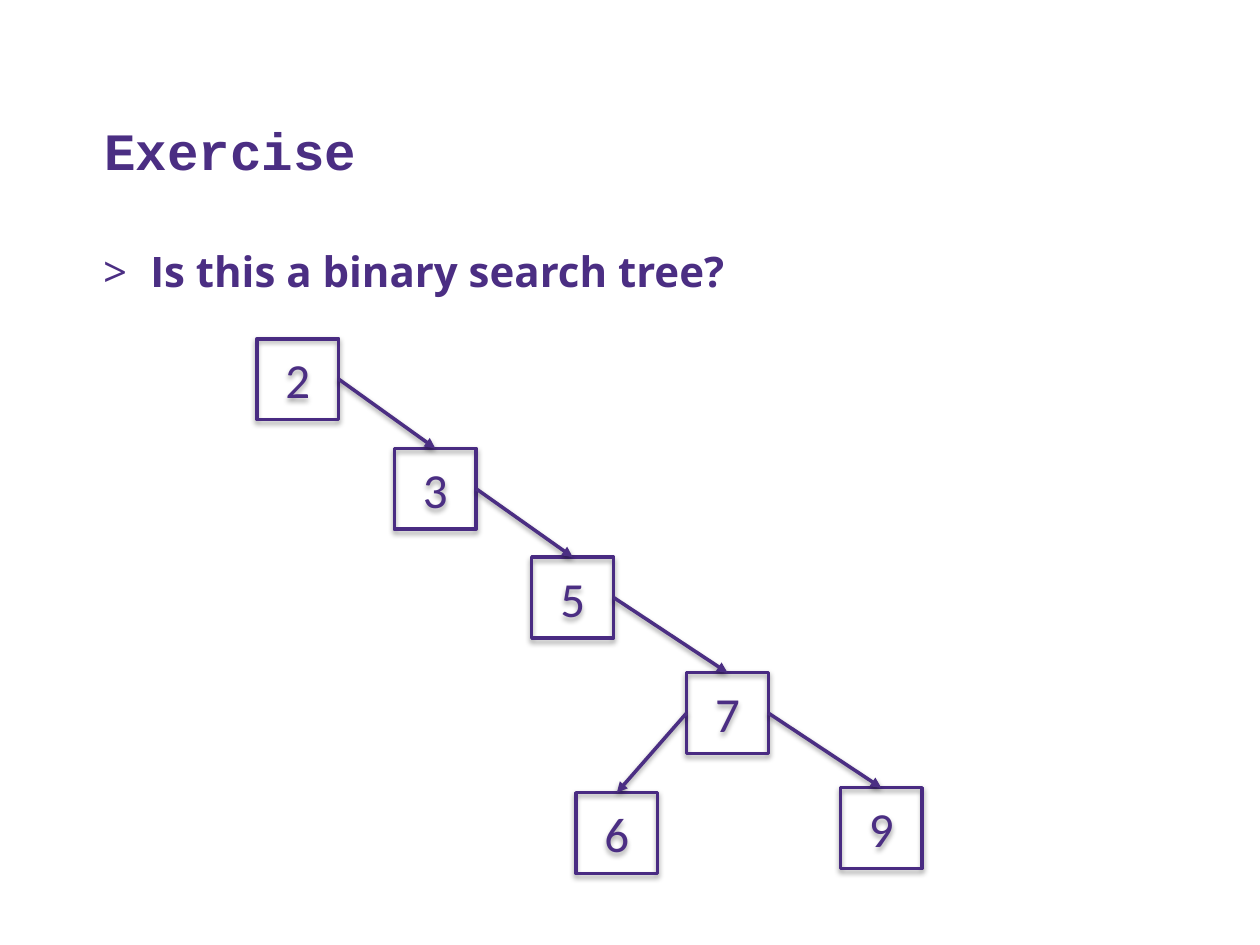
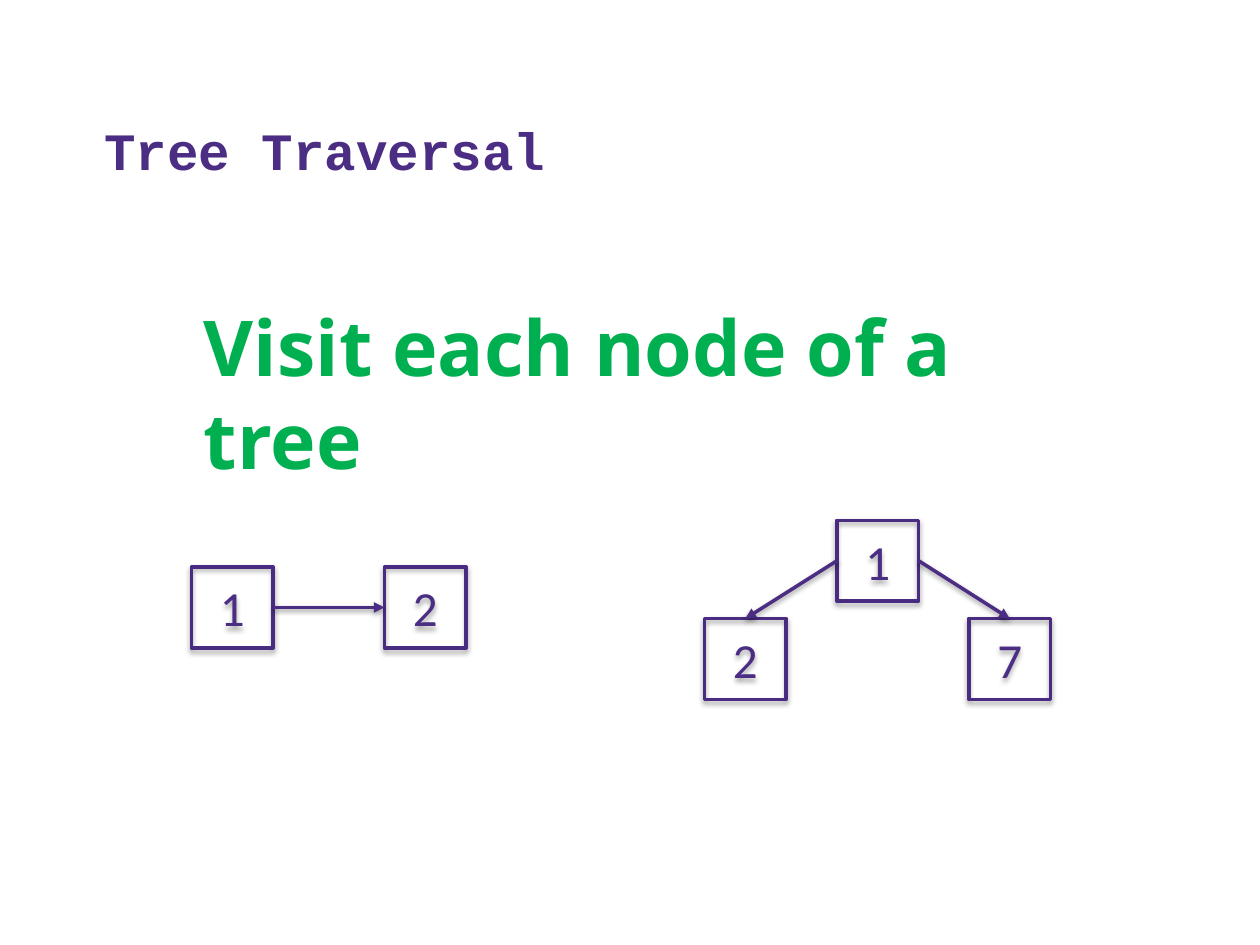
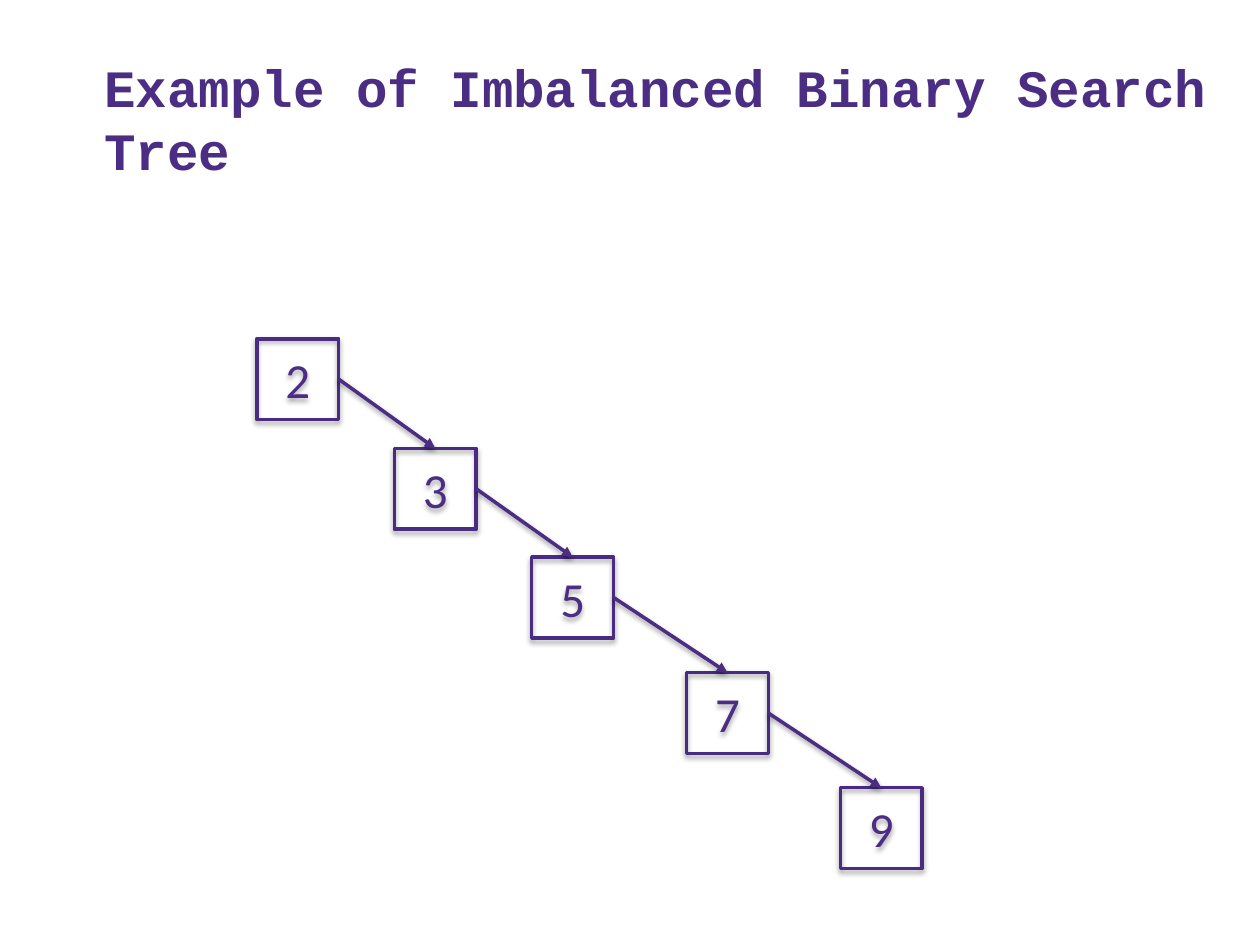
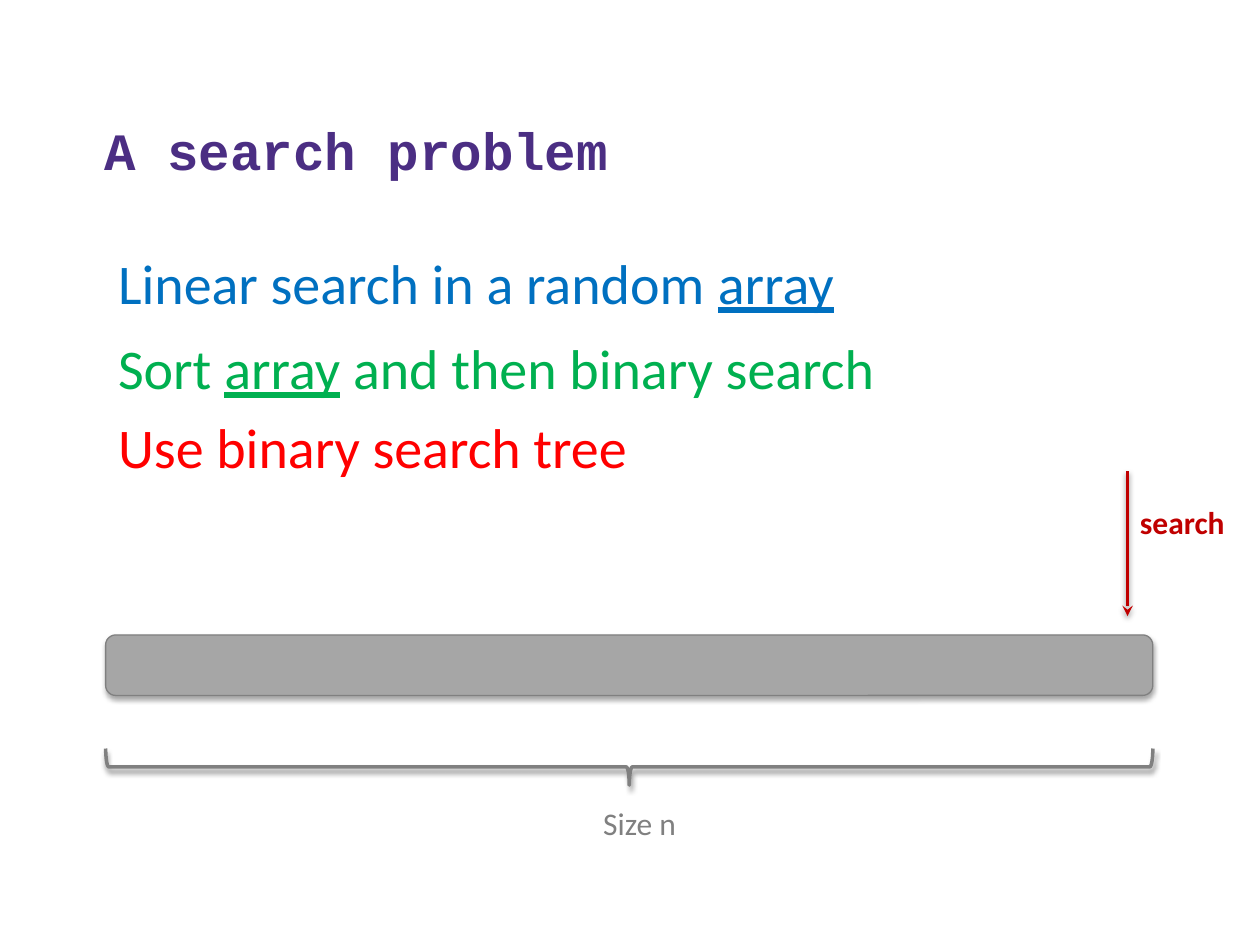
import pptx
import pptx.util
import pptx.dml.color
import pptx.enum.shapes
import pptx.enum.text
import pptx.oxml.ns
import lxml.etree

Cm, Pt = pptx.util.Cm, pptx.util.Pt
MSO = pptx.enum.shapes.MSO_SHAPE
ANCHOR = pptx.enum.text.MSO_ANCHOR
qn = pptx.oxml.ns.qn

# Shared look
COLORS = {
    "purple": "4B2E83", "border": "492B82", "green": "00B050", "blue": "0070C0",
    "red": "FF0000", "dark_red": "C00000", "bar": "A6A6A6", "gray": "808080",
    "shadow": "000000",
}
BODY, CODE, HEAD = "Calibri", "Courier New", "Open Sans"
NODE_W, NODE_H = 1.65, 1.63
LEFT, RIGHT = 1, 3  # connection sites a child hangs from
TOP = 0

# Content: nodes are name -> (label, left, top); edges are (parent, site, child, site)
CHAIN = {
    "2": ("2", 5.18, 6.83), "3": ("3", 7.95, 9.04), "5": ("5", 10.72, 11.23),
    "7": ("7", 13.84, 13.56), "9": ("9", 16.94, 15.88),
}
CHAIN_EDGES = [(a, RIGHT, b, TOP) for a, b in zip("2357", "3579")]

QUESTION = "Is this a binary search tree?"
EXERCISE = {**CHAIN, "6": ("6", 11.61, 15.98)}
EXERCISE_EDGES = CHAIN_EDGES + [("7", LEFT, "6", TOP)]

VISIT = "Visit each node of a tree"
TRAVERSAL = {
    "root": ("1", 16.87, 10.49), "left": ("2", 14.2, 12.47), "right": ("7", 19.53, 12.47),
    "first": ("1", 3.86, 11.43), "second": ("2", 7.75, 11.43),
}
TRAVERSAL_EDGES = [("root", LEFT, "left", TOP), ("root", RIGHT, "right", TOP),
                   ("first", RIGHT, "second", LEFT)]

# Search options: top, width, colour, (text, underlined) runs
OPTIONS = [
    (4.88, 15.09, "blue", [("Linear search in a random ", False), ("array", True)]),
    (6.6, 15.93, "green", [("Sort ", False), ("array", True),
                           (" and then binary search", False)]),
    (8.2, 10.87, "red", [("Use binary search tree", False)]),
]
BAR = (2.13, 12.8, 21.11, 1.22)
BRACE_TOP, BRACE_DEPTH = 15.09, 0.74


def rgb(name):
    return pptx.dml.color.RGBColor.from_string(COLORS[name])


def add_runs(p, runs, font, size, color, bold=False):
    for text, underlined in runs:
        r = p.add_run()
        r.text = text
        r.font.name, r.font.size, r.font.bold = font, Pt(size), bold
        r.font.color.rgb = rgb(color)
        if underlined:
            r.font.underline = True


def add_text(s, box, runs, font, size, color, bold=False, wrap=True, anchor=ANCHOR.TOP):
    tf = s.shapes.add_textbox(*map(Cm, box)).text_frame
    tf.word_wrap, tf.vertical_anchor = wrap, anchor
    add_runs(tf.paragraphs[0], runs, font, size, color, bold)
    return tf.paragraphs[0]


def add_bullet(p, char, indent):
    pPr = p._p.get_or_add_pPr()
    pPr.set("marL", str(Cm(indent)))
    pPr.set("indent", str(-Cm(indent)))
    lxml.etree.SubElement(pPr, qn("a:buFont")).set("typeface", HEAD)
    lxml.etree.SubElement(pPr, qn("a:buChar")).set("char", char)


def add_shadow(shape, alpha, dist):
    """Soft shadow straight below; call once fill and line are set."""
    spPr = shape._element.spPr
    effects = lxml.etree.SubElement(spPr, qn("a:effectLst"))
    outer = lxml.etree.SubElement(effects, qn("a:outerShdw"), blurRad=str(Pt(3.1)),
                                  dist=str(Pt(dist)), dir="5400000", rotWithShape="0")
    color = lxml.etree.SubElement(outer, qn("a:srgbClr"), val=COLORS["shadow"])
    lxml.etree.SubElement(color, qn("a:alpha"), val=str(alpha * 1000))


def add_figure(s, kind, box, line, width, fill=None, alpha=35, dist=1.8):
    sp = s.shapes.add_shape(kind, *map(Cm, box))
    if fill:
        sp.fill.solid()
        sp.fill.fore_color.rgb = rgb(fill)
    else:
        sp.fill.background()
    sp.line.color.rgb, sp.line.width = rgb(line), Pt(width)
    add_shadow(sp, alpha, dist)
    return sp


def style_arrow(line, color, head):
    line.line.color.rgb, line.line.width = rgb(color), Pt(2)
    ln = line._element.spPr.find(qn("a:ln"))
    lxml.etree.SubElement(ln, qn("a:tailEnd"), type=head)
    add_shadow(line, 38, 1.6)


def add_arrow(s, start=(0, 0), end=(0, 0)):
    return s.shapes.add_connector(pptx.enum.shapes.MSO_CONNECTOR.STRAIGHT,
                                  *map(Cm, start + end))


def add_tree(s, nodes, edges):
    boxes = {}
    for name, (label, x, y) in nodes.items():
        sp = add_figure(s, MSO.RECTANGLE, (x, y, NODE_W, NODE_H), "border", 2)
        tf = sp.text_frame
        tf.vertical_anchor = ANCHOR.MIDDLE
        tf.paragraphs[0].alignment = pptx.enum.text.PP_ALIGN.CENTER
        add_runs(tf.paragraphs[0], [(label, False)], BODY, 28, "purple")
        boxes[name] = sp
    for parent, out_site, child, in_site in edges:
        line = add_arrow(s)
        line.begin_connect(boxes[parent], out_site)
        line.end_connect(boxes[child], in_site)
        style_arrow(line, "purple", "triangle")


def add_slide(prs, title):
    s = prs.slides.add_slide(prs.slide_layouts[6])
    add_text(s, (1.85, 1.04, 22.75, 2.74), [(title, False)], CODE, 30, "purple",
             bold=True, anchor=ANCHOR.BOTTOM)
    return s


def main():
    prs = pptx.Presentation()
    prs.slide_width, prs.slide_height = Cm(25.4), Cm(19.05)

    # Exercise
    s = add_slide(prs, "Exercise")
    p = add_text(s, (1.83, 4.83, 22.76, 11.15), [(QUESTION, False)], HEAD, 24,
                 "purple", bold=True)
    add_bullet(p, ">", 0.95)
    add_tree(s, EXERCISE, EXERCISE_EDGES)

    # Traversal
    s = add_slide(prs, "Tree Traversal")
    add_text(s, (3.86, 5.92, 16.38, 1.55), [(VISIT, False)], HEAD, 44, "green", bold=True)
    add_tree(s, TRAVERSAL, TRAVERSAL_EDGES)

    # Imbalanced tree
    s = add_slide(prs, "Example of Imbalanced Binary Search Tree")
    add_tree(s, CHAIN, CHAIN_EDGES)

    # Search problem
    s = add_slide(prs, "A search problem")
    add_figure(s, MSO.ROUNDED_RECTANGLE, BAR, "gray", 0.75, fill="bar")
    style_arrow(add_arrow(s, (22.73, 9.5), (22.73, 12.42)), "dark_red", "stealth")
    add_text(s, (22.73, 10.01, 2.21, 1.02), [("search", False)], BODY, 18, "dark_red",
             bold=True, wrap=False)

    # Brace spans the bar: drawn upright around its centre, then turned
    x, _, span, _ = BAR
    brace = add_figure(s, MSO.RIGHT_BRACE,
                       (x + (span - BRACE_DEPTH) / 2, BRACE_TOP + (BRACE_DEPTH - span) / 2,
                        BRACE_DEPTH, span), "gray", 2, alpha=38, dist=1.6)
    brace.rotation = 90
    add_text(s, (11.91, 16.08, 2.01, 1.02), [("Size n", False)], BODY, 18, "gray", wrap=False)

    for top, width, color, runs in OPTIONS:
        add_text(s, (x, top, width, 1.63), runs, BODY, 32, color, wrap=False)

    prs.save("out.pptx")


if __name__ == "__main__":
    main()
